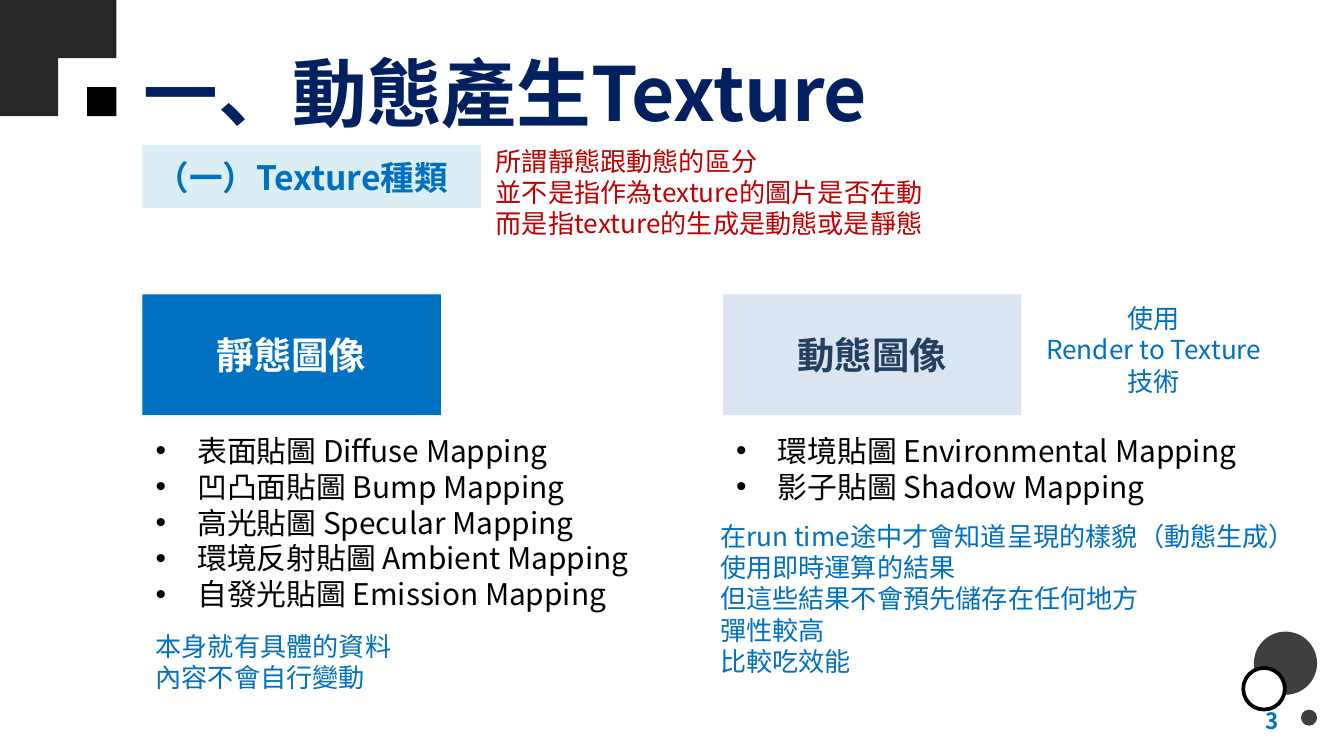
"""Builds the slide that compares static and dynamic texture types."""
from dataclasses import dataclass

from lxml.etree import SubElement
from pptx import Presentation
from pptx.dml.color import RGBColor
from pptx.enum.shapes import MSO_SHAPE as Kind
from pptx.enum.text import MSO_ANCHOR as Anchor, PP_ALIGN as Align
from pptx.oxml.ns import qn
from pptx.util import Inches, Pt


@dataclass(frozen=True)
class Theme:
    font: str = "Noto Sans CJK TC"
    navy: str = "002060"
    blue: str = "0070C0"
    red: str = "C00000"
    black: str = "000000"
    white: str = "FFFFFF"
    charcoal: str = "262626"
    gray: str = "3F3F3F"
    aqua: str = "DAEEF3"
    pale: str = "DAE5F1"
    slate: str = "244061"
    title: int = 40
    heading: int = 20
    section: int = 18
    item: int = 16
    note: int = 14
    number: int = 12


theme = Theme()
deck = Presentation()
deck.slide_width = Inches(10)
deck.slide_height = deck.slide_width * 9 // 16
page = deck.slides.add_slide(deck.slide_layouts[6])
column = row = deck.slide_width / 10
left, right = 1.06, 5.38
heading_top, heading_width, heading_height = 2.19, 2.22, 0.9
list_top = 3.17


def add_box(x, y, width, height, kind=None, fill=None):
    area = [int(n) for n in (x * column, y * row, width * column, height * row)]
    if kind is None:
        return page.shapes.add_textbox(*area)
    box = page.shapes.add_shape(kind, *area)
    box.shadow.inherit = False
    box.fill.solid()
    box.fill.fore_color.rgb = RGBColor.from_string(fill)
    box.line.fill.background()
    return box


def write(box, lines, size, color, bold=False, align=Align.LEFT, anchor=Anchor.TOP, bullet=False):
    frame = box.text_frame
    frame.word_wrap = True
    frame.vertical_anchor = anchor
    frame.text = "\n".join(lines)
    for para in frame.paragraphs:
        para.alignment = align
        if bullet:
            props = para._p.get_or_add_pPr()
            props.set("marL", str(Inches(0.31)))
            props.set("indent", str(-Inches(0.31)))
            SubElement(SubElement(props, qn("a:buClr")), qn("a:srgbClr"), val=color)
            SubElement(props, qn("a:buFont"), typeface="Arial")
            SubElement(props, qn("a:buChar"), char="•")
        font = para.font
        font.name, font.size, font.bold = theme.font, Pt(size), bold
        font.color.rgb = RGBColor.from_string(color)
        SubElement(font._element, qn("a:ea"), typeface=theme.font)


write(add_box(0.97, 0.21, 9.03, 0.94), ["一、動態產生Texture"], theme.title, theme.navy,
      bold=True, anchor=Anchor.MIDDLE)

tile = deck.slide_height / row / 13
for across, down in ((0, 0), (1, 0), (0, 1)):
    add_box(across * tile, down * tile, tile, tile, Kind.RECTANGLE, theme.charcoal)
add_box(1.5 * tile, 1.5 * tile, tile / 2, tile / 2, Kind.RECTANGLE, theme.black)

for x, y, size in ((9.33, 4.7, 0.47), (9.68, 5.28, 0.12)):
    add_box(x, y, size, size, Kind.OVAL, theme.gray)
ring = add_box(9.25, 4.97, 0.31, 0.31, Kind.OVAL, theme.white)
ring.line.color.rgb = RGBColor.from_string(theme.black)
ring.line.width = Pt(2)

write(add_box(7.28, 5.21, 2.33, 0.3), ["3"], theme.number, theme.blue,
      bold=True, align=Align.RIGHT, anchor=Anchor.MIDDLE)
write(add_box(left, 1.08, 2.52, 0.47, Kind.RECTANGLE, theme.aqua), ["（一）Texture種類"],
      theme.section, theme.blue, bold=True, anchor=Anchor.MIDDLE)

groups = (
    (left, "靜態圖像", theme.blue, theme.white, 3.93, 1.45,
     ["表面貼圖 Diffuse Mapping", "凹凸面貼圖 Bump Mapping", "高光貼圖 Specular Mapping",
      "環境反射貼圖 Ambient Mapping", "自發光貼圖 Emission Mapping"]),
    (right, "動態圖像", theme.pale, theme.slate, 4.26, 0.64,
     ["環境貼圖 Environmental Mapping", "影子貼圖 Shadow Mapping"]),
)
for x, heading, fill, color, width, height, items in groups:
    write(add_box(x, heading_top, heading_width, heading_height, Kind.RECTANGLE, fill), [heading],
          theme.heading, color, bold=True, align=Align.CENTER, anchor=Anchor.MIDDLE)
    write(add_box(x, list_top, width, height), items, theme.item, theme.black, bullet=True)

notes = (
    ((3.59, 1.03, 3.93, 0.57), theme.red, Align.LEFT,
     ["所謂靜態跟動態的區分", "並不是指作為texture的圖片是否在動", "而是指texture的生成是動態或是靜態"]),
    ((5.26, 3.82, 4.53, 1.2), theme.blue, Align.LEFT,
     ["在run time途中才會知道呈現的樣貌（動態生成）", "使用即時運算的結果",
      "但這些結果不會預先儲存在任何地方", "彈性較高", "比較吃效能"]),
    ((left, 4.64, 3.44, 0.7), theme.blue, Align.LEFT, ["本身就有具體的資料", "內容不會自行變動"]),
    ((right + heading_width, 2.2, 1.97, heading_height), theme.blue, Align.CENTER,
     ["使用", "Render to Texture", "技術"]),
)
for area, color, align, lines in notes:
    write(add_box(*area), lines, theme.note, color, align=align)

deck.save("out.pptx")
